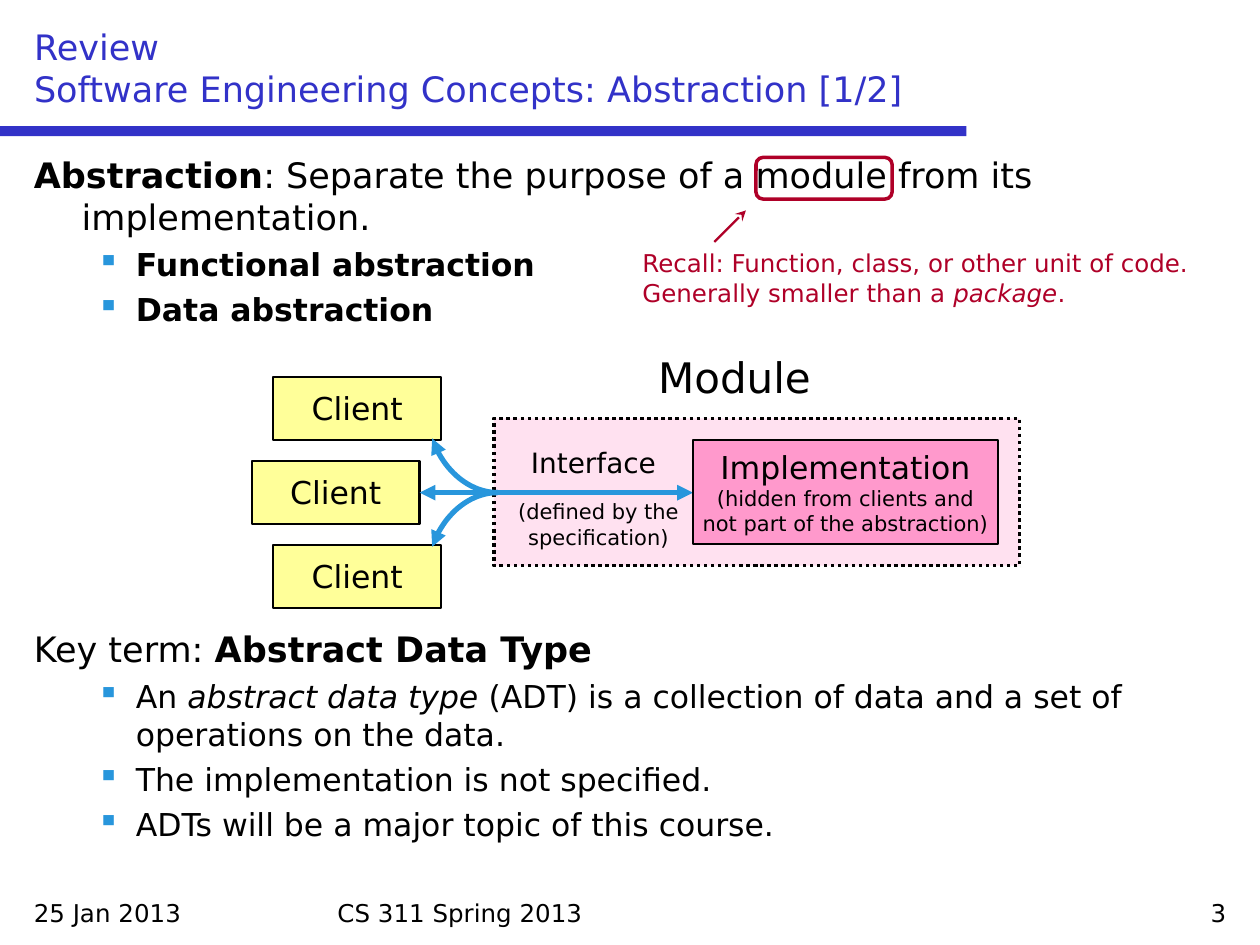
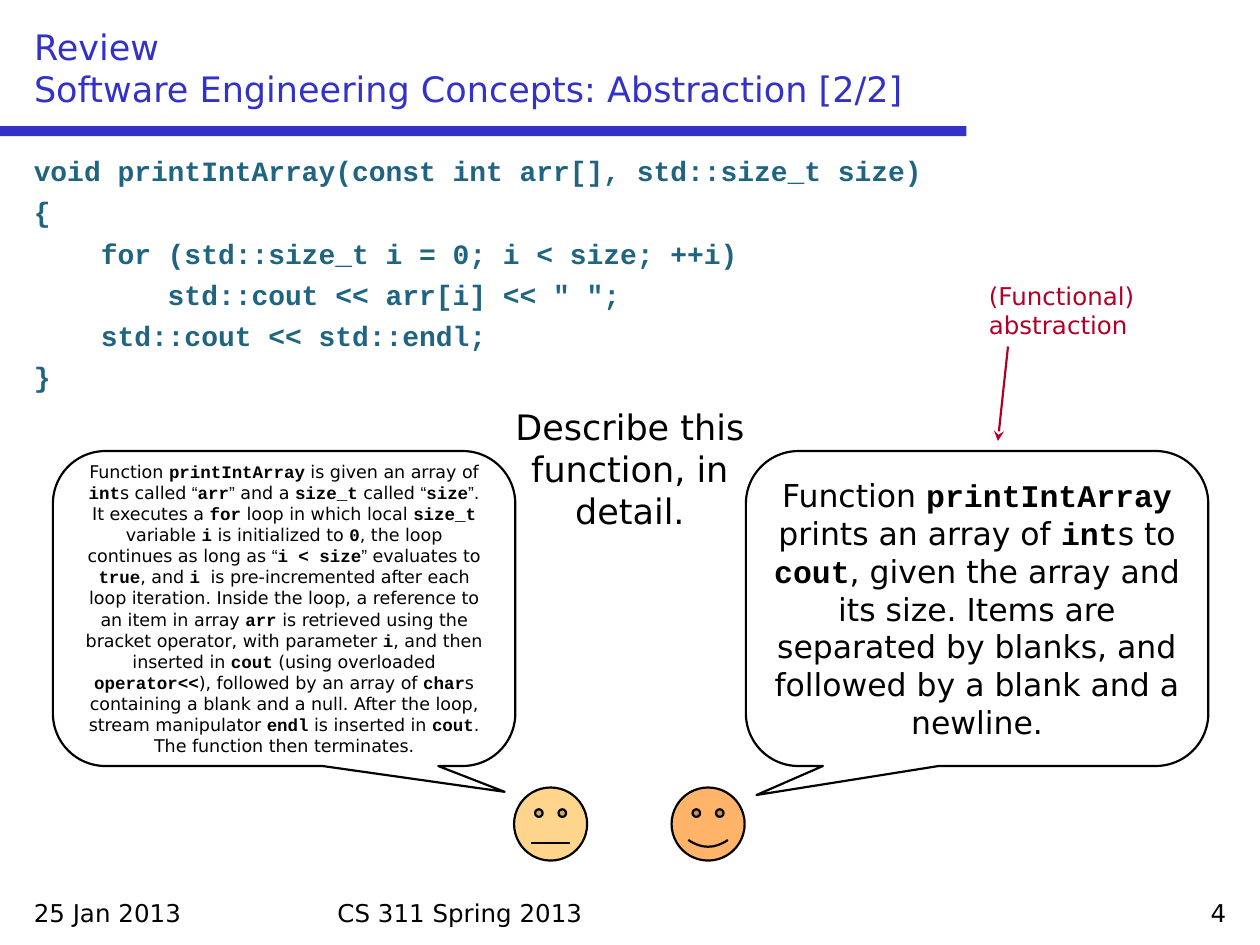
from lxml import etree
from pptx import Presentation
from pptx.dml.color import RGBColor
from pptx.enum.dml import MSO_LINE
from pptx.enum.shapes import MSO_CONNECTOR, MSO_SHAPE
from pptx.enum.text import MSO_ANCHOR, MSO_AUTO_SIZE, PP_ALIGN
from pptx.oxml.ns import qn
from pptx.util import Inches, Pt

LEFT, CENTER, RIGHT = PP_ALIGN.LEFT, PP_ALIGN.CENTER, PP_ALIGN.RIGHT
RECTANGLE, ROUNDED = MSO_SHAPE.RECTANGLE, MSO_SHAPE.ROUNDED_RECTANGLE
SMILEY, CALLOUT = MSO_SHAPE.SMILEY_FACE, MSO_SHAPE.ROUNDED_RECTANGULAR_CALLOUT
STRAIGHT = MSO_CONNECTOR.STRAIGHT
DOTTED = MSO_LINE.ROUND_DOT

BODY_FONT, CODE_FONT, QUOTE_FONT = "DejaVu Sans", "Courier New", "Arial"
BLACK, INDIGO, SKY, CRIMSON, TEAL = "000000", "3232C8", "2896DC", "AF0028", "1F6481"
YELLOW, PALE_PINK, PINK = "FFFF99", "FFE1F0", "FF99CC"
MARKS = {"*": "bold", "~": "italic", "`": "code"}

DETAILED = (
    "Function `printIntArray` is given an array of `int`s called “`arr`” and a "
    "`size_t` called “`size`”. It executes a `for` loop in which local `size_t` "
    "variable `i` is initialized to `0`, the loop continues as long as "
    "“`i < size`” evaluates to `true`, and `i `is pre-incremented after each loop "
    "iteration. Inside the loop, a reference to an item in array `arr` is retrieved "
    "using the bracket operator, with parameter `i`, and then inserted in `cout` "
    "(using overloaded `operator<<`), followed by an array of `char`s containing a "
    "blank and a null. After the loop, stream manipulator `endl` is inserted in "
    "`cout`. The function then terminates."
)
ABSTRACT = (
    "Function `printIntArray` prints an array of `int`s to `cout`, given the array "
    "and its size. Items are separated by blanks, and followed by a blank and a newline."
)
CODE = """void printIntArray(const int arr[], std::size_t size)
{
    for (std::size_t i = 0; i < size; ++i)
        std::cout << arr[i] << " ";
    std::cout << std::endl;
}"""


def rgb(color):
    return RGBColor.from_string(color)


def styled_pieces(text):
    """Split marked-up text into (piece, style) pairs: *bold*, ~italic~, `code`, “quotes”."""
    style, piece = None, ""
    for character in text:
        if character in MARKS:
            yield piece, style
            style, piece = (None if style else MARKS[character]), ""
        elif character in "“”":
            yield piece, style
            yield character, "quote"
            piece = ""
        else:
            piece += character
    yield piece, style


def write_paragraph(paragraph, text, size, color=BLACK, align=LEFT):
    paragraph.alignment = align
    for piece, style in styled_pieces(text):
        if not piece:
            continue
        run = paragraph.add_run()
        run.text = piece
        run.font.size = Pt(size)
        run.font.color.rgb = rgb(color)
        run.font.name = {"code": CODE_FONT, "quote": QUOTE_FONT}.get(style, BODY_FONT)
        run.font.bold = style in ("bold", "code")
        run.font.italic = style == "italic"


def write_lines(text_frame, lines, size, color=BLACK, align=LEFT):
    for index, line in enumerate(lines):
        paragraph = text_frame.add_paragraph() if index else text_frame.paragraphs[0]
        write_paragraph(paragraph, line, size, color, align)


def add_text(slide, box, lines, size, color=BLACK, align=LEFT):
    shape = slide.shapes.add_textbox(*map(Inches, box))
    shape.text_frame.word_wrap = True
    write_lines(shape.text_frame, lines, size, color, align)
    return shape


def set_indent(paragraph, margin, first_line):
    properties = paragraph._p.get_or_add_pPr()
    properties.set("marL", str(Inches(margin)))
    properties.set("indent", str(Inches(first_line)))
    return properties


def add_bullet(paragraph):
    properties = set_indent(paragraph, 0.81, -0.31)
    bullet_color = etree.SubElement(properties, qn("a:buClr"))
    etree.SubElement(bullet_color, qn("a:srgbClr"), val=SKY)
    etree.SubElement(properties, qn("a:buChar"), char="▪")


def add_topic(slide, top, height, heading, bullets):
    """Add a heading with a hanging indent and its bulleted points."""
    shape = add_text(slide, (0.17, top, 9.67, height), [heading], 20)
    set_indent(shape.text_frame.paragraphs[0], 0.38, -0.38)
    for bullet in bullets:
        paragraph = shape.text_frame.add_paragraph()
        add_bullet(paragraph)
        paragraph.space_before = Pt(4.2)
        write_paragraph(paragraph, bullet, 18)


def add_code(slide, code):
    lines = [f"`{line}`" for line in code.splitlines()]
    shape = add_text(slide, (0.17, 1.17, 9.67, 2), lines, 16, TEAL)
    for paragraph in shape.text_frame.paragraphs[1:]:
        paragraph.space_before = Pt(4.4)


def add_box(slide, kind, box, fill=None, line=BLACK, width=1.25, adjustments=()):
    shape = slide.shapes.add_shape(kind, *map(Inches, box))
    shape.shadow.inherit = False
    if fill:
        shape.fill.solid()
        shape.fill.fore_color.rgb = rgb(fill)
    else:
        shape.fill.background()
    if line:
        shape.line.color.rgb = rgb(line)
        shape.line.width = Pt(width)
    else:
        shape.line.fill.background()
    for index, value in enumerate(adjustments):
        shape.adjustments[index] = value
    return shape


def add_labelled_box(slide, box, fill, label, details=()):
    shape = add_box(slide, RECTANGLE, box, fill)
    text_frame = shape.text_frame
    text_frame.word_wrap = False
    text_frame.vertical_anchor = MSO_ANCHOR.MIDDLE
    write_lines(text_frame, [label], 18, align=CENTER)
    for detail in details:
        write_paragraph(text_frame.add_paragraph(), detail, 12, align=CENTER)


def add_callout(slide, left, text, size, tail):
    shape = add_box(slide, CALLOUT, (left, 3.58, 3.67, 2.5), adjustments=(*tail, 0.167))
    shape.text_frame.word_wrap = True
    shape.text_frame.vertical_anchor = MSO_ANCHOR.MIDDLE
    write_lines(shape.text_frame, [text], size, align=CENTER)


def style_arrow(shape, color, width, head=None, tail=None):
    shape.line.color.rgb = rgb(color)
    shape.line.width = Pt(width)
    outline = shape.line._get_or_add_ln()
    for tag, arrowhead in (("a:headEnd", head), ("a:tailEnd", tail)):
        if arrowhead:
            etree.SubElement(outline, qn(tag), type=arrowhead)


def add_arrow(slide, start, end, color, width, head=None, tail=None):
    connector = slide.shapes.add_connector(STRAIGHT, *map(Inches, (*start, *end)))
    style_arrow(connector, color, width, head, tail)
    etree.SubElement(connector._element.spPr, qn("a:effectLst"))


def add_curved_arrow(slide, start, control_1, control_2, end, steps=24):
    """Trace a cubic curve that ends in an arrowhead."""
    points = []
    for step in range(steps + 1):
        t = step / steps
        weights = ((1 - t) ** 3, 3 * t * (1 - t) ** 2, 3 * t * t * (1 - t), t ** 3)
        corners = (start, control_1, control_2, end)
        points.append(tuple(
            Inches(sum(weight * corner[axis] for weight, corner in zip(weights, corners)))
            for axis in (0, 1)
        ))
    builder = slide.shapes.build_freeform(*points[0])
    builder.add_line_segments(points[1:], close=False)
    curve = builder.convert_to_shape()
    curve.fill.background()
    style_arrow(curve, SKY, 3, tail="triangle")
    curve.shadow.inherit = False


def add_slide(presentation, part, number):
    """Add a slide with the shared title, band and footers."""
    slide = presentation.slides.add_slide(presentation.slide_layouts[5])
    add_box(slide, RECTANGLE, (0, 1, 7.67, 0.08), INDIGO, line=None)
    add_text(slide, (0.17, 7.08, 2.33, 0.33), ["25 Jan 2013"], 14)
    add_text(slide, (2.58, 7.08, 4.83, 0.33), ["CS 311 Spring 2013"], 14)
    add_text(slide, (7.5, 7.08, 2.33, 0.33), [str(number)], 14, align=RIGHT)
    title = slide.shapes.title
    title.left, title.top, title.width, title.height = map(Inches, (0.17, 0.17, 9.67, 0.75))
    title.text_frame.auto_size = MSO_AUTO_SIZE.NONE
    title.text_frame.vertical_anchor = MSO_ANCHOR.BOTTOM
    heading = f"Software Engineering Concepts: Abstraction [{part}/2]"
    write_lines(title.text_frame, ["Review", heading], 20, INDIGO)
    return slide


def add_module_diagram(slide):
    add_text(slide, (5.08, 2.74, 1.5, 0.51), ["Module"], 24, align=CENTER)
    module = add_box(slide, RECTANGLE, (3.92, 3.32, 4.17, 1.17), PALE_PINK, width=2)
    module.line.dash_style = DOTTED
    for row, left in enumerate((2.17, 2, 2.17)):
        add_labelled_box(slide, (left, 2.99 + row * 0.667, 1.33, 0.5), YELLOW, "Client")
    middle = 3.91
    add_arrow(slide, (3.33, middle), (5.5, middle), SKY, 3, "triangle", "triangle")
    for side in (-1, 1):
        add_curved_arrow(slide, (3.95, middle), (3.73, middle),
                         (3.52, middle + side * 0.17), (3.43, middle + side * 0.43))
    add_text(slide, (4, 3.91, 1.5, 0.51), ["(defined by the specification)"], 12, align=CENTER)
    add_labelled_box(slide, (5.5, 3.49, 2.42, 0.83), PINK, "Implementation",
                     ["(hidden from clients and", "not part of the abstraction)"])
    add_text(slide, (4, 3.49, 1.42, 0.37), ["Interface"], 16, align=CENTER)


def build_concept_slide(presentation):
    slide = add_slide(presentation, 1, 3)
    add_topic(slide, 1.17, 1.5,
              "*Abstraction*: Separate the purpose of a module from its implementation.",
              ["*Functional abstraction*", "*Data abstraction*"])
    add_topic(slide, 4.93, 1.85, "Key term: *Abstract Data Type*", [
        "An ~abstract data type~ (ADT) is a collection of data and a set of "
        "operations on the data.",
        "The implementation is not specified.",
        "ADTs will be a major topic of this course.",
    ])
    add_module_diagram(slide)
    recall = ("Recall: Function, class, or other unit of code. "
              "Generally smaller than a ~package~.")
    add_text(slide, (5, 1.92, 4.83, 0.58), [recall], 14, CRIMSON)
    add_arrow(slide, (5.67, 1.92), (5.92, 1.67), CRIMSON, 1.25, tail="stealth")
    add_box(slide, ROUNDED, (6, 1.25, 1.08, 0.33), line=CRIMSON, width=2, adjustments=(0.167,))


def build_example_slide(presentation):
    slide = add_slide(presentation, 2, 4)
    add_code(slide, CODE)
    add_callout(slide, 0.42, DETAILED, 10, (0.477, 0.582))
    add_callout(slide, 5.92, ABSTRACT, 18, (-0.477, 0.592))
    for left, fill, smile in ((4.08, "FFD48D", 0), (5.33, "FFB469", 0.047)):
        add_box(slide, SMILEY, (left, 6.25, 0.58, 0.58), fill, adjustments=(smile,))
    add_text(slide, (3.75, 3.17, 2.5, 1.12), ["Describe this function, in detail."], 20,
             align=CENTER)
    add_text(slide, (7.75, 2.18, 1.42, 0.58), ["(Functional)", "abstraction"], 14, CRIMSON)
    add_arrow(slide, (8, 2.75), (7.92, 3.5), CRIMSON, 1.25, tail="stealth")


def main():
    presentation = Presentation()
    presentation.slide_width, presentation.slide_height = Inches(10), Inches(7.5)
    build_concept_slide(presentation)
    build_example_slide(presentation)
    presentation.save("out.pptx")


if __name__ == "__main__":
    main()
